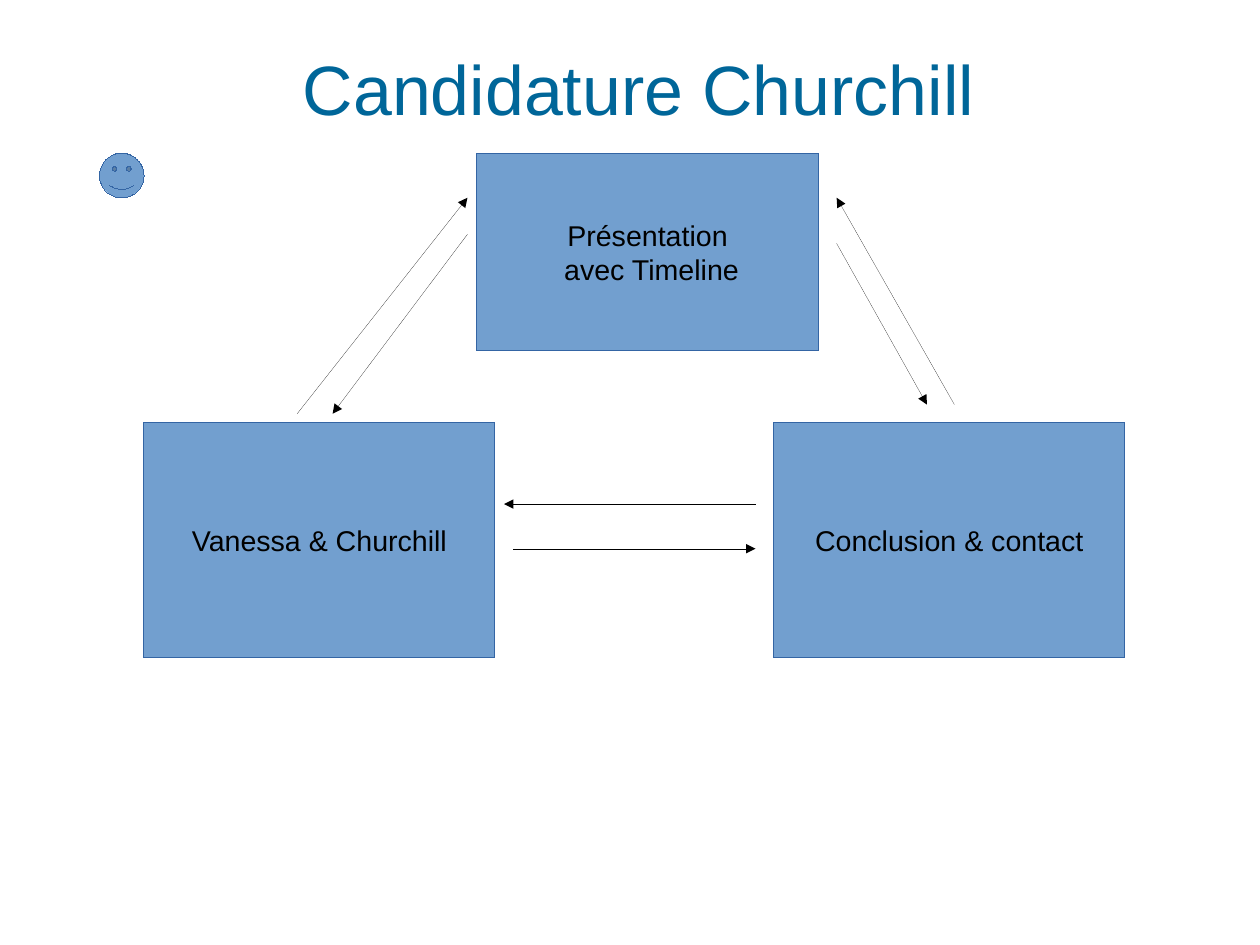
from lxml.etree import SubElement
from pptx import Presentation
from pptx.dml.color import RGBColor
from pptx.enum.shapes import MSO_CONNECTOR, MSO_SHAPE
from pptx.enum.text import MSO_ANCHOR, PP_ALIGN
from pptx.oxml.ns import qn
from pptx.util import Inches, Pt


def color(value):
    return RGBColor.from_string(value)


def write(frame, text, size=18, ink="000000", font="Arial", wrap=False, margins=(0.1, 0.05)):
    frame.word_wrap = wrap
    frame.vertical_anchor = MSO_ANCHOR.MIDDLE
    frame.margin_left = frame.margin_right = Inches(margins[0])
    frame.margin_top = frame.margin_bottom = Inches(margins[1])
    frame.text = text
    for para in frame.paragraphs:
        para.alignment = PP_ALIGN.CENTER
        for span in para.runs:
            span.font.name = font
            span.font.size = Pt(size)
            span.font.color.rgb = color(ink)


hairline = Pt(0.01)

deck = Presentation()
deck.slide_width, deck.slide_height = Inches(28 / 2.54), Inches(21 / 2.54)
page = deck.slides.add_slide(deck.slide_layouts[5])

title = page.shapes.title
title.left, title.top = Inches(0.63), Inches(0.08)
title.width, title.height = Inches(9.92), Inches(1.38)
write(title.text_frame, "Candidature Churchill", size=44, ink="006699", wrap=True, margins=(0, 0))

shapes = [
    (MSO_SHAPE.RECTANGLE, 4.17, 1.34, 2.99, 1.73, "Présentation\n avec Timeline"),
    (MSO_SHAPE.RECTANGLE, 1.26, 3.7, 3.07, 2.05, "Vanessa & Churchill"),
    (MSO_SHAPE.RECTANGLE, 6.77, 3.7, 3.07, 2.05, "Conclusion & contact"),
    (MSO_SHAPE.SMILEY_FACE, 0.87, 1.34, 0.39, 0.39, ""),
]
for kind, left, top, width, height, text in shapes:
    box = page.shapes.add_shape(kind, Inches(left), Inches(top), Inches(width), Inches(height))
    box.shadow.inherit = False
    box.fill.solid()
    box.fill.fore_color.rgb = color("729FCF")
    box.line.color.rgb = color("3465A4")
    box.line.width = hairline
    if text:
        write(box.text_frame, text)

arrows = [
    (4.09, 2.05, 2.91, 3.62),
    (2.6, 3.62, 4.09, 1.73),
    (7.32, 2.13, 8.11, 3.54),
    (8.35, 3.54, 7.32, 1.73),
    (4.49, 4.8, 6.61, 4.8),
    (6.61, 4.41, 4.41, 4.41),
]
for ends in arrows:
    arrow = page.shapes.add_connector(MSO_CONNECTOR.STRAIGHT, *[Inches(value) for value in ends])
    arrow.line.color.rgb = color("000000")
    arrow.line.width = hairline
    properties = arrow._element.spPr
    SubElement(properties.get_or_add_ln(), qn("a:tailEnd"), type="triangle")
    SubElement(properties, qn("a:effectLst"))

deck.save("out.pptx")
